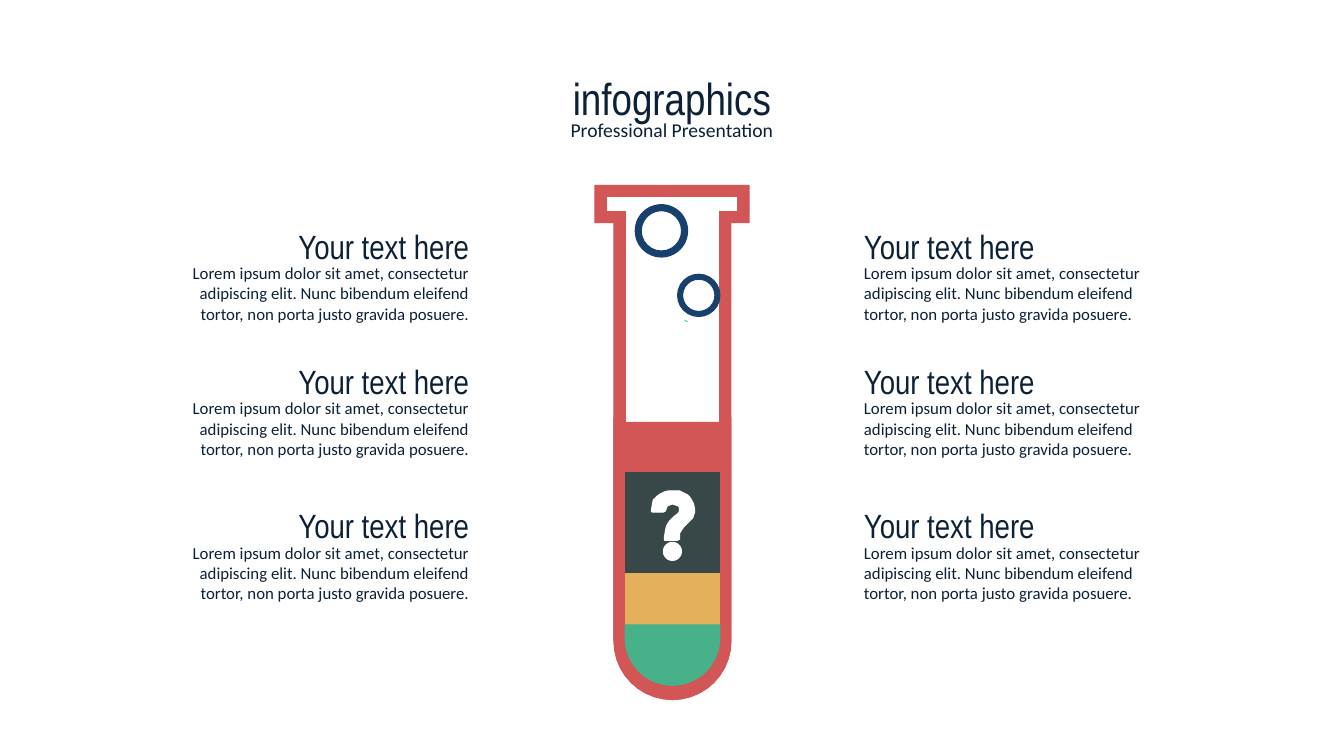
import math

from lxml import etree
from pptx import Presentation
from pptx import util as u
from pptx.dml.color import RGBColor
from pptx.enum import shapes, text
from pptx.oxml.ns import qn

PX = 9144
NAVY, RED, SLATE, AMBER, GREEN = "0C2036", "D25656", "384848", "E4B05C", "47B189"
BLUE, TEAL, WHITE = "17406D", "2FB8AC", "FFFFFF"
HEADING_FONT, BODY_FONT = "Arial Narrow", "Calibri"
LOREM = ("Lorem ipsum dolor sit amet, consectetur adipiscing elit. "
         "Nunc bibendum eleifend tortor, non porta justo gravida posuere.")
GLASS_INSIDE = [(12, 11), (12, 26), (30, 26), (30, 235),
                (124, 235), (124, 26), (142, 26), (142, 11)]
QUESTION_HOOK = [
    (78, 303), (84, 303), (88, 305), (92, 307), (94, 309), (96, 312), (98, 316),
    (99, 321), (99, 324), (98, 327), (97, 330), (95, 332), (92, 335), (88, 339),
    (86, 342), (84, 345), (84, 351), (82, 352), (71, 352), (69, 352), (69, 349),
    (70, 343), (71, 338), (74, 333), (78, 329), (83, 325), (84, 323), (84, 320),
    (83, 318), (80, 317), (77, 316), (74, 317), (72, 318), (71, 320), (70, 323),
    (68, 324), (57, 324), (56, 323), (57, 317), (58, 312), (62, 308), (65, 306),
    (69, 304), (73, 303)]


def px(*lengths):
    return [u.Emu(round(length * PX)) for length in lengths]


def colour(value):
    return RGBColor.from_string(value)


def paint(shape, value):
    shape.shadow.inherit = False
    shape.fill.solid()
    shape.fill.fore_color.rgb = colour(value)
    shape.line.color.rgb = colour(value)
    shape.line.width = 0


def arc(cx, cy, radius, sweep=180, steps=20):
    angles = [math.radians(sweep * i / steps) for i in range(steps + 1)]
    return [(cx + radius * math.cos(a), cy + radius * math.sin(a)) for a in angles]


def outline(slide, left, top, contours, value):
    placed = [[px(left + x, top + y) for x, y in contour] for contour in contours]
    builder = slide.shapes.build_freeform(*placed[0][0], scale=1.0)
    builder.add_line_segments(placed[0][1:], close=True)
    for contour in placed[1:]:
        builder.move_to(*contour[0])
        builder.add_line_segments(contour[1:], close=True)
    paint(builder.convert_to_shape(), value)


def write(holder, box, words, font, size, align):
    holder.left, holder.top, holder.width, holder.height = px(*box)
    frame = holder.text_frame
    frame.text = words
    frame.word_wrap = True
    frame.auto_size = text.MSO_AUTO_SIZE.SHAPE_TO_FIT_TEXT
    frame.vertical_anchor = text.MSO_ANCHOR.TOP
    paragraph = frame.paragraphs[0]
    paragraph.alignment = align
    paragraph.space_before = u.Pt(0)
    run_font = paragraph.runs[0].font
    run_font.name, run_font.size = font, u.Pt(size)
    run_font.color.rgb = colour(NAVY)


def header(slide, left, top, width):
    title, subtitle = slide.placeholders
    centre = text.PP_ALIGN.CENTER
    write(title, (left, top, width, 64), "infographics", HEADING_FONT, 32, centre)
    write(subtitle, (left, top + 47, width, 34), "Professional Presentation",
          BODY_FONT, 14, centre)


def text_column(slide, left, width, tops, align):
    for top in tops:
        body = slide.shapes.add_textbox(0, 0, 0, 0)
        write(body, (left, top + 37, width, 71), LOREM, BODY_FONT, 12, align)
        heading = slide.shapes.add_textbox(0, 0, 0, 0)
        write(heading, (left, top, width, 50), "Your text here", HEADING_FONT, 24, align)


def test_tube(slide, left, top):
    speck = slide.shapes.add_connector(
        shapes.MSO_CONNECTOR.STRAIGHT,
        *px(left + 89, top + 134, left + 92, top + 135))
    speck.line.color.rgb = colour(TEAL)
    speck.line.width = u.Pt(0.63)
    etree.SubElement(speck._element.spPr, qn("a:effectLst"))

    base = arc(77, 452, 58)
    glass = [(0, 0), (153, 0), (153, 37), (135, 37), *base, (19, 37), (0, 37)]
    pool = [(19, 230), (30, 230), (30, 235), (124, 235), (124, 230), (135, 230), *base]
    outline(slide, left, top, [glass, GLASS_INSIDE], RED)
    outline(slide, left, top, [pool], RED)

    for layer_top, height, value in ((285, 100, SLATE), (385, 51, AMBER)):
        layer = slide.shapes.add_shape(
            shapes.MSO_SHAPE.RECTANGLE, *px(left + 30, top + layer_top, 94, height))
        paint(layer, value)
    outline(slide, left, top, [[(30, 436), (124, 436), *arc(77, 449, 47)]], GREEN)

    for x, y, size, rim in ((82, 88, 42, 5), (40, 19, 52, 6)):
        bubble = slide.shapes.add_shape(
            shapes.MSO_SHAPE.DONUT, *px(left + x, top + y, size, size))
        bubble.adjustments[0] = rim / size
        paint(bubble, BLUE)
    outline(slide, left, top, [QUESTION_HOOK, arc(77, 363, 9, 360)], WHITE)


def main():
    deck = Presentation()
    deck.slide_width, deck.slide_height = px(1333, 750)
    slide = deck.slides.add_slide(deck.slide_layouts[0])
    header(slide, 88, 65, 1157)
    test_tube(slide, 590, 184)
    row_tops = (219, 353, 496)
    text_column(slide, 847, 321, row_tops, text.PP_ALIGN.LEFT)
    text_column(slide, 154, 321, row_tops, text.PP_ALIGN.RIGHT)
    deck.save("out.pptx")


if __name__ == "__main__":
    main()
